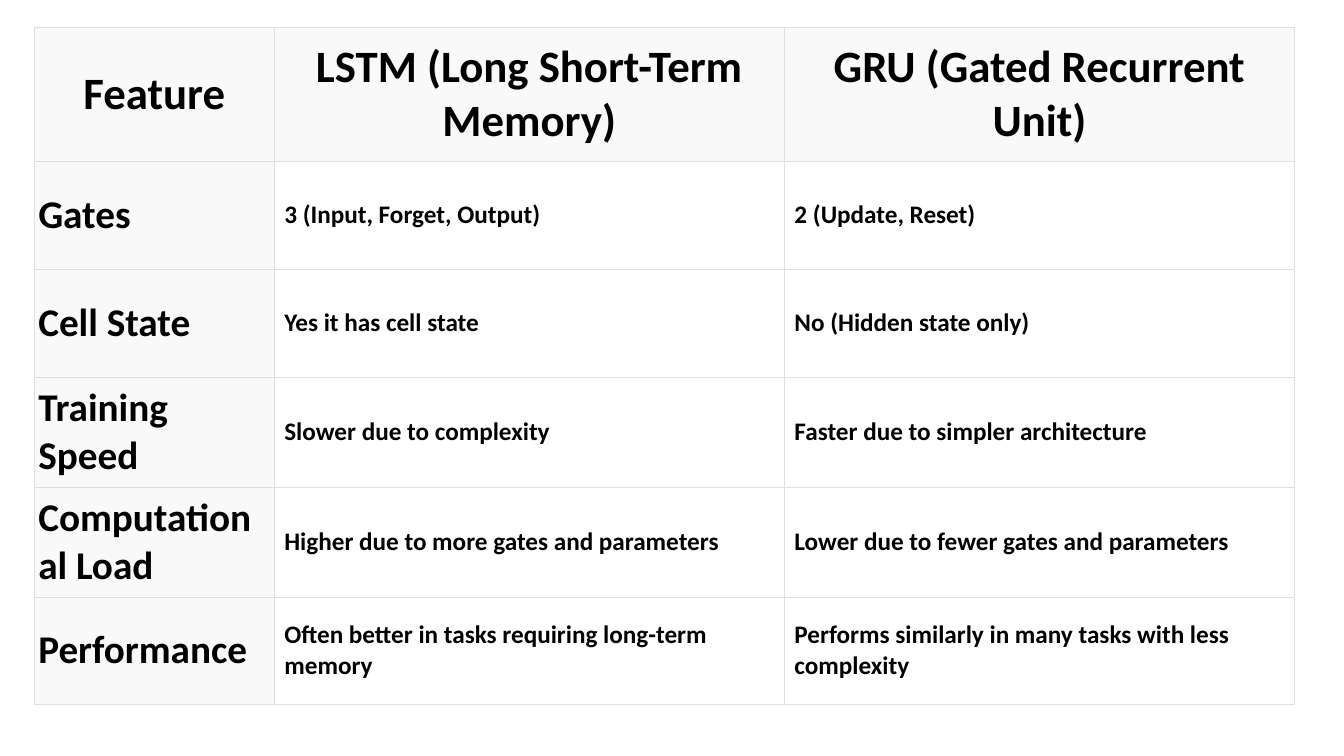
"""Build a slide with a table that compares LSTM and GRU networks."""
from dataclasses import dataclass

import lxml.etree
import pptx
import pptx.dml.color
import pptx.enum.text
import pptx.oxml.ns
import pptx.table
import pptx.util

Inches = pptx.util.Inches
RGBColor = pptx.dml.color.RGBColor
PP_ALIGN = pptx.enum.text.PP_ALIGN

BLACK = RGBColor(0x00, 0x00, 0x00)
WHITE = RGBColor(0xFF, 0xFF, 0xFF)
PALE_GREY = RGBColor(0xF9, 0xF9, 0xF9)
BORDER_GREY = RGBColor(0xDF, 0xDF, 0xDF)
BORDER_WIDTH = pptx.util.Pt(0.23)
FONT_NAME = "Calibri"


@dataclass(frozen=True)
class CellStyle:
    size: int
    fill: RGBColor
    alignment: PP_ALIGN
    side_margin: float
    end_margin: float


CORNER = CellStyle(32, PALE_GREY, PP_ALIGN.CENTER, 0.04, 0.1)
HEADER = CellStyle(32, PALE_GREY, PP_ALIGN.CENTER, 0.1, 0.1)
FEATURE = CellStyle(28, PALE_GREY, PP_ALIGN.LEFT, 0.04, 0.07)
DETAIL = CellStyle(18, WHITE, PP_ALIGN.LEFT, 0.1, 0.15)

COLUMN_WIDTHS = (2.38, 5.06, 5.06)
HEADER_HEIGHT = 1.33
BODY_HEIGHT = 1.07
COMPARISON = (
    ("Feature", "LSTM (Long Short-Term Memory)", "GRU (Gated Recurrent Unit)"),
    ("Gates", "3 (Input, Forget, Output)", "2 (Update, Reset)"),
    ("Cell State", "Yes it has cell state", "No (Hidden state only)"),
    ("Training Speed", "Slower due to complexity", "Faster due to simpler architecture"),
    ("Computational Load", "Higher due to more gates and parameters",
     "Lower due to fewer gates and parameters"),
    ("Performance", "Often better in tasks requiring long-term memory",
     "Performs similarly in many tasks with less complexity"),
)


def choose_style(row: int, column: int) -> CellStyle:
    if row == 0:
        return HEADER if column else CORNER
    return DETAIL if column else FEATURE


def add_borders(cell: pptx.table._Cell) -> None:
    qualify = pptx.oxml.ns.qn
    properties = cell._tc.get_or_add_tcPr()
    for side in ("lnL", "lnR", "lnT", "lnB"):
        line = lxml.etree.SubElement(properties, qualify(f"a:{side}"), w=str(int(BORDER_WIDTH)))
        fill = lxml.etree.SubElement(line, qualify("a:solidFill"))
        lxml.etree.SubElement(fill, qualify("a:srgbClr"), val=str(BORDER_GREY))


def fill_cell(cell: pptx.table._Cell, text: str, style: CellStyle) -> None:
    add_borders(cell)
    cell.fill.solid()
    cell.fill.fore_color.rgb = style.fill
    cell.vertical_anchor = pptx.enum.text.MSO_ANCHOR.MIDDLE
    cell.margin_left = cell.margin_right = Inches(style.side_margin)
    cell.margin_top = cell.margin_bottom = Inches(style.end_margin)
    paragraph = cell.text_frame.paragraphs[0]
    paragraph.text = text
    paragraph.alignment = style.alignment
    font = paragraph.runs[0].font
    font.name = FONT_NAME
    font.size = pptx.util.Pt(style.size)
    font.bold = True
    font.color.rgb = BLACK


def main() -> None:
    presentation = pptx.Presentation()
    presentation.slide_width = Inches(13.33)
    presentation.slide_height = Inches(7.5)
    slide = presentation.slides.add_slide(presentation.slide_layouts.get_by_name("Blank"))

    row_heights = [HEADER_HEIGHT] + [BODY_HEIGHT] * (len(COMPARISON) - 1)
    table = slide.shapes.add_table(
        len(COMPARISON), len(COLUMN_WIDTHS), Inches(0.34), Inches(0.27),
        Inches(sum(COLUMN_WIDTHS)), Inches(sum(row_heights)),
    ).table
    table.horz_banding = False
    for column, width in zip(table.columns, COLUMN_WIDTHS):
        column.width = Inches(width)
    for row, height in zip(table.rows, row_heights):
        row.height = Inches(height)
    for row_index, texts in enumerate(COMPARISON):
        for column_index, text in enumerate(texts):
            style = choose_style(row_index, column_index)
            fill_cell(table.cell(row_index, column_index), text, style)

    presentation.save("out.pptx")


if __name__ == "__main__":
    main()
